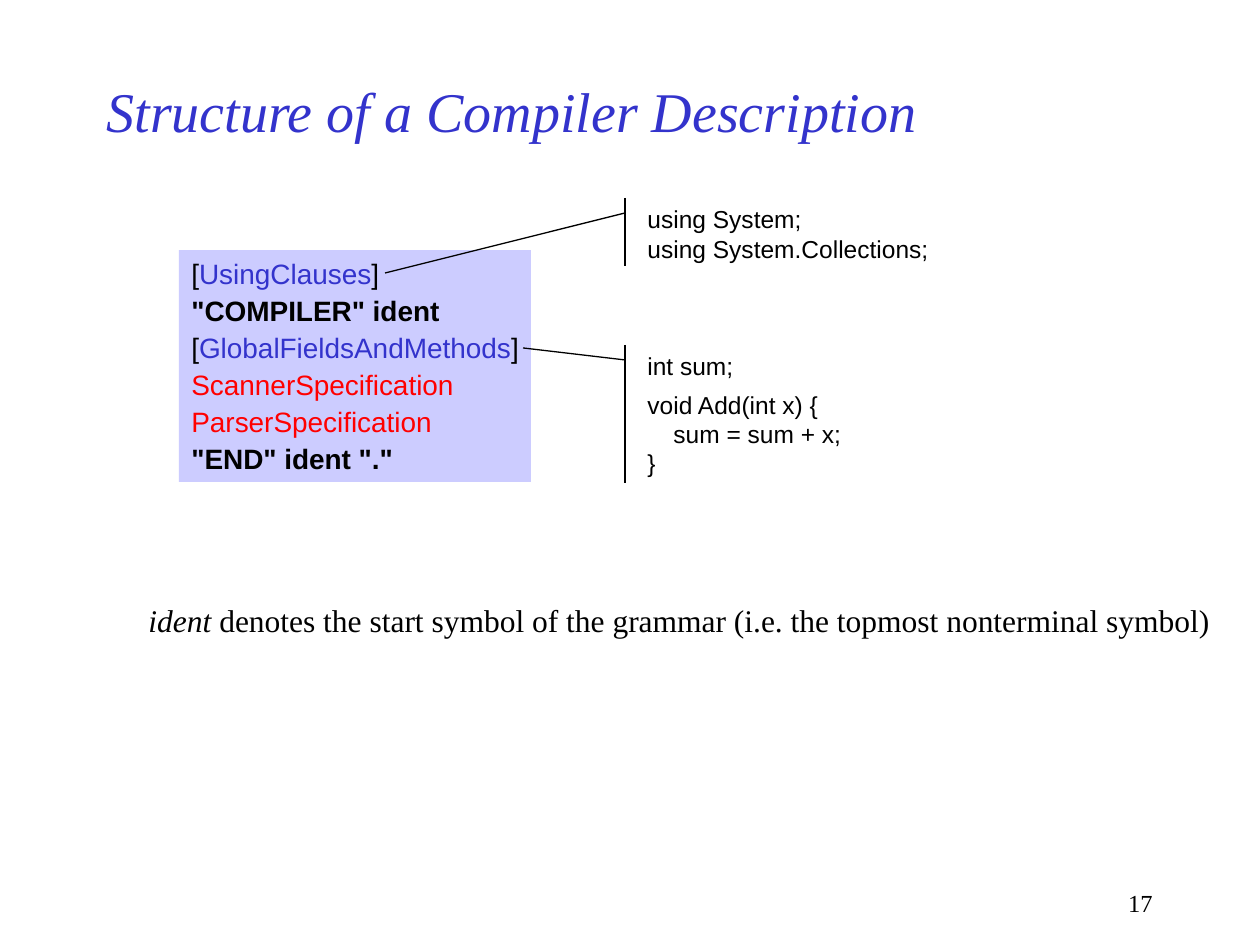
from dataclasses import dataclass

from pptx import Presentation
from pptx.dml.color import RGBColor
from pptx.enum.shapes import MSO_SHAPE
from pptx.enum.text import MSO_ANCHOR, MSO_AUTO_SIZE, PP_ALIGN
from pptx.util import Emu, Inches, Pt

PX_PER_INCH = 126


@dataclass(frozen=True)
class Theme:
    serif: str = "Times New Roman"
    sans: str = "Arial"
    ink: str = "000000"
    blue: str = "3333CC"
    red: str = "FF0000"
    panel: str = "CCCCFF"
    title_size: int = 32
    note_size: int = 18
    grammar_size: int = 16
    code_size: int = 14
    number_size: int = 14
    line_width: float = 0.75


THEME = Theme()


def px(length):
    return Emu(round(length * Inches(1) / PX_PER_INCH))


def add_span(para, text, font, size, color=THEME.ink, bold=False, italic=False):
    span = para.add_run()
    span.text = text
    span.font.name = font
    span.font.size = Pt(size)
    span.font.bold = bold
    span.font.italic = italic
    span.font.color.rgb = RGBColor.from_string(color)


def next_para(frame, index, space_before=0, indent=0):
    """Return paragraph number index, adding it after the first one."""
    para = frame.add_paragraph() if index else frame.paragraphs[0]
    para.alignment = PP_ALIGN.LEFT
    para.space_before = Pt(space_before)
    if indent:
        para._p.get_or_add_pPr().set("marL", str(px(indent)))
    return para


def add_text_box(page, box, wrap=True):
    frame = page.shapes.add_textbox(*map(px, box)).text_frame
    frame.word_wrap = wrap
    return frame


def add_plain_shape(page, kind, box, wrap=True):
    """Add a preset shape without shadow whose text starts at the top."""
    shape = page.shapes.add_shape(kind, *map(px, box))
    shape.shadow.inherit = False
    shape.text_frame.word_wrap = wrap
    shape.text_frame.vertical_anchor = MSO_ANCHOR.TOP
    return shape


def add_title(page, box, text):
    title = page.shapes.title
    title.left, title.top, title.width, title.height = map(px, box)
    frame = title.text_frame
    frame.auto_size = MSO_AUTO_SIZE.NONE
    frame.vertical_anchor = MSO_ANCHOR.MIDDLE
    add_span(next_para(frame, 0), text, THEME.serif, THEME.title_size,
             THEME.blue, italic=True)


def add_grammar(page, box, rules):
    """Draw the tinted panel; each rule is a list of (text, colour, bold)."""
    panel = add_plain_shape(page, MSO_SHAPE.RECTANGLE, box, wrap=False)
    panel.fill.solid()
    panel.fill.fore_color.rgb = RGBColor.from_string(THEME.panel)
    panel.line.fill.background()
    for index, rule in enumerate(rules):
        para = next_para(panel.text_frame, index, space_before=2)
        for text, color, bold in rule:
            add_span(para, text, THEME.sans, THEME.grammar_size, color, bold)


def add_callout(page, box, anchor, lines):
    """Place code beside a bar that a leader joins to the anchor point.

    Each line is (text, space before, indent).
    """
    left, top, width, height = box
    callout = add_plain_shape(page, MSO_SHAPE.LINE_CALLOUT_1_ACCENT_BAR, box)
    callout.fill.background()
    callout.line.color.rgb = RGBColor.from_string(THEME.ink)
    callout.line.width = Pt(THEME.line_width)
    leader = ((left - 10, top + 15), anchor)
    for index, (x, y) in enumerate(leader):
        callout.adjustments[2 * index] = (y - top) / height
        callout.adjustments[2 * index + 1] = (x - left) / width
    for index, (text, space, indent) in enumerate(lines):
        add_span(next_para(callout.text_frame, index, space, indent), text,
                 THEME.sans, THEME.code_size)


def add_note(page, box, term, explanation):
    para = next_para(add_text_box(page, box, wrap=False), 0)
    add_span(para, term, THEME.serif, THEME.note_size, italic=True)
    add_span(para, explanation, THEME.serif, THEME.note_size)


def add_page_number(page, box, number):
    para = next_para(add_text_box(page, box), 0)
    para.alignment = PP_ALIGN.RIGHT
    add_span(para, number, THEME.serif, THEME.number_size)


def optional(name):
    return [("[", THEME.ink, False), (name, THEME.blue, False),
            ("]", THEME.ink, False)]


def keyword(text):
    return [(text, THEME.ink, True)]


def part(name):
    return [(name, THEME.red, False)]


def main():
    deck = Presentation()
    deck.slide_width, deck.slide_height = Inches(10), Inches(7.5)
    page = deck.slides.add_slide(deck.slide_layouts.get_by_name("Title Only"))

    add_title(page, (94, 63, 945, 94), "Structure of a Compiler Description")
    add_grammar(page, (179, 250, 352, 232), [
        optional("UsingClauses"),
        keyword('"COMPILER" ident'),
        optional("GlobalFieldsAndMethods"),
        part("ScannerSpecification"),
        part("ParserSpecification"),
        keyword('"END" ident "."'),
    ])
    add_callout(page, (635, 198, 323, 68), (385, 273), [
        ("using System;", 0, 0),
        ("using System.Collections;", 0, 0),
    ])
    add_callout(page, (635, 345, 323, 138), (523, 348), [
        ("int sum;", 0, 0),
        ("void Add(int x) {", 5.2, 0),
        ("sum = sum + x;", 0, 26),
        ("}", 0, 0),
    ])
    add_note(page, (136, 595, 1087, 50), "ident",
             " denotes the start symbol of the grammar"
             " (i.e. the topmost nonterminal symbol)")
    add_page_number(page, (903, 882, 262, 42), "17")
    deck.save("out.pptx")


if __name__ == "__main__":
    main()
